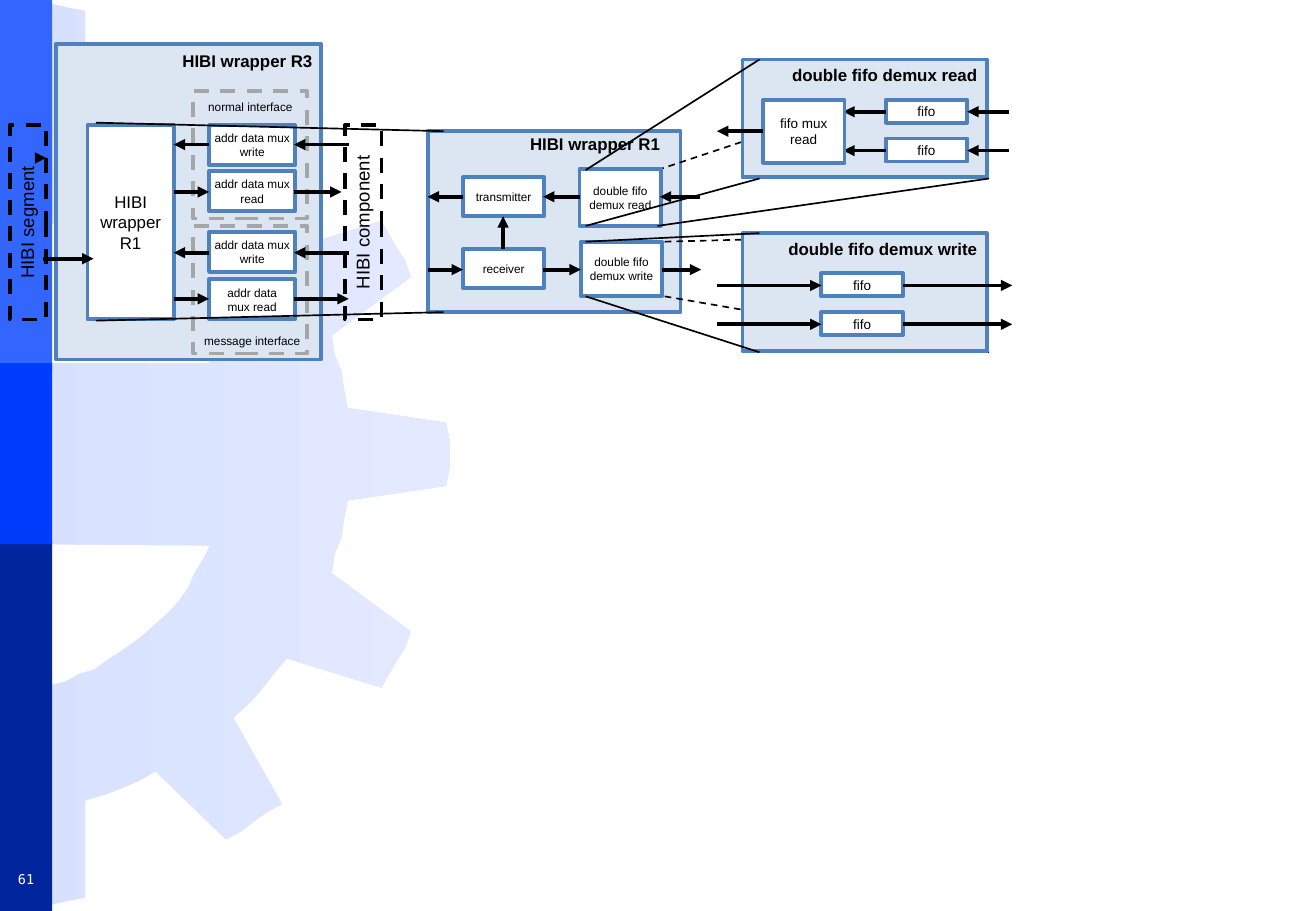
from lxml import etree
from pptx import Presentation
from pptx.dml import color as c
from pptx.enum import dml, shapes, text
from pptx.oxml import ns
from pptx import util as u

PX = 9144
BLACK, WHITE, BLUE, PALE, GREY = "000000", "FFFFFF", "4F81BD", "DCE6F2", "A6A6A6"
TIGHT, WIDE, TITLE = (4, 5), (10, 5), (8, 4)
GEAR_HALF = [
    (173, 449), (167, 461), (160, 472), (155, 484), (147, 495), (139, 504),
    (130, 512), (119, 522), (111, 528), (100, 536), (89, 543), (78, 551),
    (65, 555), (54, 561), (42, 564), (28, 568), (14, 570), (14, 748),
    (29, 746), (42, 745), (55, 742), (70, 739), (70, 659), (87, 654),
    (100, 649), (114, 643), (128, 635), (186, 691), (199, 684), (208, 677),
    (219, 669), (232, 662), (192, 591), (206, 578), (215, 568), (225, 555),
    (236, 542), (314, 566), (320, 555), (327, 543), (333, 534), (338, 520),
    (273, 472), (275, 457), (281, 442), (283, 427), (286, 412), (367, 400),
    (370, 385), (370, 373),
]


def px(*values):
    """Return pixel lengths as EMU."""
    return [v * PX for v in values]


def rgb(value):
    """Return a colour from a hex string."""
    return c.RGBColor.from_string(value)


def write(sp, label, size, color=BLACK, font="Arial", bold=False, align="CENTER",
          inset=TIGHT, wrap=True, anchor="MIDDLE"):
    """Put formatted text into a shape."""
    tf = sp.text_frame
    tf.word_wrap = wrap
    tf.vertical_anchor = getattr(text.MSO_ANCHOR, anchor)
    tf.margin_left = tf.margin_right = inset[0] * PX
    tf.margin_top = tf.margin_bottom = inset[1] * PX
    p = tf.paragraphs[0]
    p.text = label
    p.alignment = getattr(text.PP_ALIGN, align)
    for r in p.runs:
        r.font.size, r.font.name, r.font.bold = u.Pt(size), font, bold
        r.font.color.rgb = rgb(color)


def add_label(s, at, label, size, **style):
    """Add a text box."""
    write(s.shapes.add_textbox(*px(*at)), label, size, **style)


def add_box(s, at, fill=None, line=None, dash=False):
    """Add a rectangle and return it."""
    sp = s.shapes.add_shape(shapes.MSO_SHAPE.RECTANGLE, *px(*at))
    sp.shadow.inherit = False
    if fill:
        sp.fill.solid()
        sp.fill.fore_color.rgb = rgb(fill)
    else:
        sp.fill.background()
    if line:
        sp.line.color.rgb = rgb(line)
        sp.line.width = u.Pt(2.25)
        if dash:
            sp.line.dash_style = dml.MSO_LINE.DASH
    else:
        sp.line.fill.background()
    return sp


def add_block(s, at, label, size=7, inset=TIGHT):
    """Add a white block with a blue border and a label."""
    write(add_box(s, at, WHITE, BLUE), label, size, inset=inset)


def add_panel(s, at, title, title_at):
    """Add a pale panel with a bold title at the right."""
    add_box(s, at, PALE, BLUE)
    add_label(s, title_at, title, 10, bold=True, align="RIGHT", inset=TITLE)


def add_side(s, at, label):
    """Add a dashed frame with upright text."""
    sp = add_box(s, at, None, BLACK, True)
    sp.rotation = 270
    write(sp, label, 11, inset=WIDE, wrap=False, anchor="TOP")


def add_line(s, x1, y1, x2, y2, width=1.0, dash=False, arrow=False):
    """Add a straight black line."""
    sp = s.shapes.add_connector(shapes.MSO_CONNECTOR.STRAIGHT, *px(x1, y1, x2, y2))
    sp.line.color.rgb = rgb(BLACK)
    sp.line.width = u.Pt(width)
    if dash:
        sp.line.dash_style = dml.MSO_LINE.DASH
    if arrow:
        etree.SubElement(sp.line._get_or_add_ln(), ns.qn("a:tailEnd"), type="triangle")
    etree.SubElement(sp._element.spPr, ns.qn("a:effectLst"))


def add_arrow(s, x1, y1, x2, y2):
    """Add a thick arrow."""
    add_line(s, x1, y1, x2, y2, 2.25, arrow=True)


def add_gear(s):
    """Add the half gear, mirrored about its middle."""
    mirrored = [(x, 748 - y) for x, y in reversed(GEAR_HALF[:-1])]
    fb = s.shapes.build_freeform(0, 299, scale=PX)
    fb.add_line_segments([(0, 448)] + GEAR_HALF + mirrored)
    sp = fb.convert_to_shape()
    sp.shadow.inherit = False
    sp.line.fill.background()
    sp.fill.gradient()
    sp.fill.gradient_angle = 0
    for stop, color in zip(sp.fill.gradient_stops, ("D7E1FF", "E3EAFF")):
        stop.color.rgb = rgb(color)
        stop.position = 0 if color == "D7E1FF" else 1


def add_background(s):
    """Add the gear, the side bar and the page number."""
    add_gear(s)
    for y, h, color in ((0, 305, "3366FF"), (446, 304, "00259C"), (299, 149, "003CFC")):
        add_box(s, (0, y, 43, h), color)
    add_label(s, (0, 711, 43, 26), "61", 8, color=WHITE, font="DejaVu Sans Mono",
              inset=WIDE, wrap=False)


def add_wrapper_r3(s):
    """Add the R3 wrapper with its interfaces and neighbours."""
    add_panel(s, (46, 36, 218, 260), "HIBI wrapper R3", (62, 36, 203, 28))
    add_block(s, (72, 103, 71, 160), "HIBI wrapper R1", 10)
    for y, label in ((103, "addr data mux write"), (141, "addr data mux read"),
                     (191, "addr data mux write"), (230, "addr data\vmux read")):
        add_block(s, (172, y, 71, 33), label)
    for y in (75, 186):
        add_box(s, (159, y, 94, 105), None, GREY, True)
    add_label(s, (159, 75, 94, 26), "normal interface", 7, wrap=False)
    add_label(s, (162, 270, 91, 21), "message interface", 7, wrap=False)
    for y in (119, 208):
        add_arrow(s, 172, y, 143, y)
        add_arrow(s, 287, y, 242, y)
    for y, end in ((158, 281), (246, 287)):
        add_arrow(s, 143, y, 172, y)
        add_arrow(s, 242, y, end, y)
    add_arrow(s, 35, 130, 38, 130)
    add_arrow(s, 35, 213, 77, 213)
    add_side(s, (-57, 168, 160, 30), "HIBI segment")
    add_side(s, (219, 168, 160, 30), "HIBI component")


def add_wrapper_r1(s):
    """Add the R1 wrapper and its dashed guides."""
    add_panel(s, (352, 108, 208, 149), "HIBI wrapper R1", (360, 110, 191, 17))
    for guide in ((541, 140, 814, 49), (547, 199, 814, 192), (547, 244, 814, 290)):
        add_line(s, *guide, dash=True)
    add_block(s, (381, 146, 67, 32), "transmitter")
    add_block(s, (381, 205, 67, 32), "receiver")
    add_block(s, (477, 139, 67, 47), "double fifo demux read")
    add_block(s, (478, 199, 67, 45), "double fifo demux write")
    for start, end in ((381, 352), (477, 447), (576, 543)):
        add_arrow(s, start, 162, end, 162)
    for start, end in ((352, 381), (447, 478), (545, 577)):
        add_arrow(s, start, 222, end, 222)
    add_arrow(s, 414, 205, 414, 178)


def add_demux(s, top, title, fifo_x, arrows):
    """Add a demux panel with two fifos and their arrows."""
    add_panel(s, (611, top, 201, 97), title, (609, top + 6, 203, 13))
    for y in (top + 33, top + 65):
        add_block(s, (fifo_x, y, 67, 19), "fifo", 8, WIDE)
        for start, end in arrows:
            add_arrow(s, start, y + 10, end, y + 10)


def add_zoom_lines(s):
    """Add the thin lines from blocks to their enlarged panels."""
    for line in ((79, 101, 365, 108), (79, 264, 365, 257), (482, 140, 625, 49),
                 (482, 186, 625, 147), (541, 186, 814, 147), (482, 199, 625, 192),
                 (482, 244, 625, 290)):
        add_line(s, *line)


def main():
    """Build the slide and save it."""
    prs = Presentation()
    prs.slide_width, prs.slide_height = px(1083, 750)
    s = prs.slides.add_slide(prs.slide_layouts[6])
    add_background(s)
    add_wrapper_r3(s)
    add_wrapper_r1(s)
    add_demux(s, 192, "double fifo demux write", 676, ((590, 676), (743, 833)))
    add_demux(s, 49, "double fifo demux read", 729, ((729, 694), (830, 796)))
    add_block(s, (628, 82, 67, 52), "fifo mux read", 8, WIDE)
    add_arrow(s, 628, 108, 590, 108)
    add_zoom_lines(s)
    prs.save("out.pptx")


if __name__ == "__main__":
    main()
